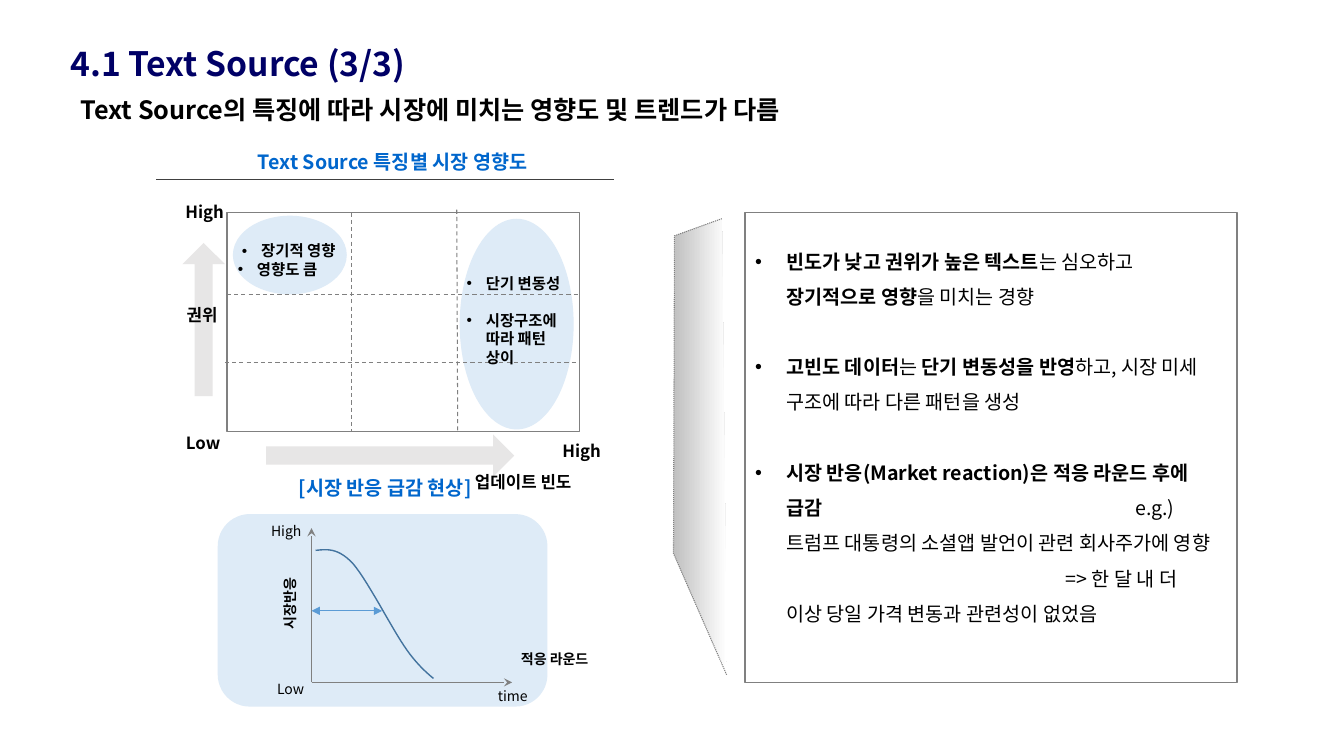
from dataclasses import dataclass, field
from typing import NamedTuple

from lxml.etree import SubElement
from pptx import Presentation
from pptx.dml.color import RGBColor
from pptx.enum.dml import MSO_LINE_DASH_STYLE as Dash
from pptx.enum.shapes import MSO_CONNECTOR, MSO_SHAPE as Preset
from pptx.enum.text import MSO_ANCHOR as Anchor, PP_ALIGN as Align
from pptx.oxml.ns import qn
from pptx.util import Emu, Pt

PX = 9144  # EMU in one px, 100 px to the inch


@dataclass(frozen=True)
class Theme:
    font: str = "Noto Sans CJK KR"
    navy: str = "000066"
    blue: str = "0066CC"
    black: str = "000000"
    gray: str = "808080"
    rule: str = "404040"
    pale: str = "DEEBF7"
    arrow: str = "E7E6E6"
    curve: str = "43739E"
    span: str = "5B9BD5"
    shade: tuple[str, str] = ("C0C0C0", "FFFFFF")
    title: int = 24
    lead: int = 18
    body: int = 14
    axis: int = 12
    note: int = 11
    small: int = 10


THEME = Theme()


class Box(NamedTuple):
    left: int
    top: int
    width: int
    height: int


class Point(NamedTuple):
    x: int
    y: int


@dataclass(frozen=True)
class Para:
    """Pieces alternate bold and regular, starting with bold; \\v breaks a line."""
    pieces: tuple[str, ...]
    bullet: bool = True
    align: Align = Align.LEFT
    before: int = 0


@dataclass(frozen=True)
class Format:
    size: int
    color: str = THEME.black
    bold: bool = True
    wrap: bool = True
    anchor: Anchor = Anchor.TOP
    rotation: int = 0
    inset: bool = True
    spacing: float = 1.0
    hang: int = 19
    tabs: tuple[int, ...] = field(default=())


def emu(px: float) -> Emu:
    return Emu(round(px * PX))


def rgb(color: str) -> RGBColor:
    return RGBColor.from_string(color)


def style_line(line, color: str, width: float, dash=None) -> None:
    line.color.rgb = rgb(color)
    line.width = Pt(width)
    if dash:
        line.dash_style = dash


def add_bullet(para, hang: int, tabs: tuple[int, ...]) -> None:
    props = para._p.get_or_add_pPr()
    props.set("marL", str(emu(hang)))
    props.set("indent", str(emu(-hang)))
    SubElement(props, qn("a:buFont"), typeface="Arial")
    SubElement(props, qn("a:buChar"), char="•")
    if tabs:
        stops = SubElement(props, qn("a:tabLst"))
        for stop in tabs:
            SubElement(stops, qn("a:tab"), pos=str(emu(stop)), algn="l")


def add_span(para, text: str, bold: bool, style: Format) -> None:
    span = para.add_run()
    span.text = text
    font = span.font
    font.name, font.size, font.bold = THEME.font, Pt(style.size), bold
    font.color.rgb = rgb(style.color)
    SubElement(span._r.get_or_add_rPr(), qn("a:ea"), typeface=THEME.font)


def add_text(page, place: Box, paras: list[Para], **options) -> None:
    style = Format(**options)
    box = page.shapes.add_textbox(*map(emu, place))
    box.rotation = style.rotation
    frame = box.text_frame
    frame.word_wrap, frame.vertical_anchor = style.wrap, style.anchor
    if not style.inset:
        frame.margin_left = frame.margin_right = frame.margin_top = frame.margin_bottom = 0
    for index, item in enumerate(paras):
        para = frame.add_paragraph() if index else frame.paragraphs[0]
        if item.bullet:
            add_bullet(para, style.hang, style.tabs)
        para.alignment, para.line_spacing = item.align, style.spacing
        if item.before:
            para.space_before = Pt(item.before)
        for order, piece in enumerate(item.pieces):
            for row, text in enumerate(piece.split("\v")):
                if row:
                    para.add_line_break()
                add_span(para, text, style.bold and order % 2 == 0, style)


def add_label(page, place: Box, text: str, align: Align = Align.CENTER, **options) -> None:
    add_text(page, place, [Para((text,), bullet=False, align=align)], **options)


def add_shape(page, preset: Preset, place: Box, fill: str = "", line: str = ""):
    shape = page.shapes.add_shape(preset, *map(emu, place))
    shape.shadow.inherit = False
    if fill:
        shape.fill.solid()
        shape.fill.fore_color.rgb = rgb(fill)
    else:
        shape.fill.background()
    if line:
        style_line(shape.line, line, 1)
    else:
        shape.line.fill.background()
    return shape


def add_arrow(page, place: Box, rotation: int = 0) -> None:
    arrow = add_shape(page, Preset.UP_ARROW, place, fill=THEME.arrow)
    arrow.adjustments[0], arrow.adjustments[1] = 0.43, 0.5
    arrow.rotation = rotation


def add_line(page, start: Point, end: Point, color: str = THEME.gray, width: float = 0.5,
             dash=None, head: str = "", tail: str = "") -> None:
    line = page.shapes.add_connector(MSO_CONNECTOR.STRAIGHT, *map(emu, (*start, *end)))
    style_line(line.line, color, width, dash)
    outline = line.line._get_or_add_ln()
    for tag, kind in (("a:headEnd", head), ("a:tailEnd", tail)):
        if kind:
            SubElement(outline, qn(tag), type=kind)
    SubElement(line._element.spPr, qn("a:effectLst"))


def add_outline(page, points: list[tuple[float, float]]):
    corners = [(emu(x), emu(y)) for x, y in points]
    builder = page.shapes.build_freeform(*corners[0])
    builder.add_line_segments(corners[1:], close=False)
    shape = builder.convert_to_shape()
    shape.shadow.inherit = False
    return shape


def bezier(knots: list[Point], steps: int = 14) -> list[tuple[float, float]]:
    """Points along joined cubic curves, each sharing its end with the next start."""
    points: list[tuple[float, float]] = [knots[0]]
    for first in range(0, len(knots) - 1, 3):
        for step in range(1, steps + 1):
            t = step / steps
            weights = ((1 - t) ** 3, 3 * t * (1 - t) ** 2, 3 * t * t * (1 - t), t ** 3)
            pairs = list(zip(weights, knots[first:first + 4]))
            points.append((sum(w * p.x for w, p in pairs), sum(w * p.y for w, p in pairs)))
    return points


def draw_findings(page) -> None:
    add_text(page, Box(739, 231, 488, 434), [
        Para(("빈도가 낮고 권위가 높은 텍스트", "는 심오하고 ", "장기적으로 영향", "을 미치는 경향")),
        Para(("고빈도 데이터", "는 ", "단기 변동성을 반영",
              "하고, 시장 미세 구조에 따라 다른 패턴을 생성"), before=25),
        Para(("시장 반응(Market reaction)은 적응 라운드 후에 급감",
              "\t\te.g.)\v트럼프 대통령의 소셜앱 발언이 관련 회사주가에 영향"
              "\v\t=> 한 달 내 더\v이상 당일 가격 변동과 관련성이 없었음"), before=25),
    ], size=THEME.body, spacing=1.5, hang=31, tabs=(308, 377))
    wedge = add_outline(page, [(716, 217), (669, 234), (668, 549), (721, 670)])
    wedge.fill.gradient()
    wedge.fill.gradient_angle = 0
    for stop, color, position in zip(wedge.fill.gradient_stops, THEME.shade, (0, 1)):
        stop.color.rgb, stop.position = rgb(color), position
    style_line(wedge.line, THEME.gray, 0.75, Dash.ROUND_DOT)
    add_shape(page, Preset.RECTANGLE, Box(739, 211, 488, 466), line=THEME.gray)


def draw_matrix(page) -> None:
    add_label(page, Box(173, 144, 433, 34), "Text Source 특징별 시장 영향도",
              size=THEME.body, color=THEME.blue)
    add_line(page, Point(155, 178), Point(609, 178), THEME.rule)
    add_shape(page, Preset.RECTANGLE, Box(225, 211, 350, 217), line=THEME.gray)
    for place in (Box(231, 214, 113, 78), Box(456, 217, 113, 209)):
        add_shape(page, Preset.OVAL, place, fill=THEME.pale)
    for start, end in ((Point(349, 211), Point(349, 428)), (Point(453, 208), Point(454, 429)),
                       (Point(225, 292), Point(574, 292)), (Point(223, 360), Point(573, 360))):
        add_line(page, start, end, width=0.75, dash=Dash.DASH)
    add_text(page, Box(226, 241, 121, 34),
             [Para(("장기적 영향",), align=Align.CENTER), Para(("영향도 큼",))],
             size=THEME.note, anchor=Anchor.MIDDLE)
    add_text(page, Box(453, 288, 122, 59),
             [Para(("단기 변동성",)), Para(("시장구조에 따라 패턴 상이",), before=13)],
             size=THEME.note, anchor=Anchor.MIDDLE)
    add_arrow(page, Box(181, 241, 42, 152))
    add_arrow(page, Box(366, 329, 42, 246), rotation=90)
    for place, text in ((Box(173, 424, 57, 30), "Low"), (Box(548, 432, 58, 30), "High"),
                        (Box(174, 195, 58, 30), "High"), (Box(174, 297, 53, 30), "권위"),
                        (Box(452, 463, 134, 30), "업데이트 빈도")):
        add_label(page, place, text, size=THEME.axis, wrap=False)


def draw_decay(page) -> None:
    add_label(page, Box(155, 467, 454, 34), "[시장 반응 급감 현상]",
              size=THEME.body, color=THEME.blue)
    add_shape(page, Preset.ROUNDED_RECTANGLE, Box(216, 510, 327, 191), fill=THEME.pale)
    origin = Point(309, 677)
    for end in (Point(309, 524), Point(508, 677)):
        add_line(page, origin, end, tail="stealth")
    for place, text in ((Box(259, 513, 61, 48), "High"), (Box(265, 670, 58, 48), "Low"),
                        (Box(484, 677, 57, 48), "time")):
        add_label(page, place, text, Align.LEFT, size=THEME.small, bold=False, wrap=False)
    add_label(page, Box(224, 585, 128, 27), "시장반응", size=THEME.small, rotation=270)
    add_label(page, Box(449, 640, 202, 27), "적응 라운드", size=THEME.small)
    knots = [(313, 546), (324, 545), (335, 543), (350, 559), (364, 575),
             (388, 622), (401, 641), (414, 661), (430, 673), (430, 673)]
    curve = add_outline(page, bezier([Point(*knot) for knot in knots]))
    curve.fill.background()
    style_line(curve.line, THEME.curve, 1)
    add_line(page, Point(309, 606), Point(379, 606), THEME.span, head="triangle", tail="triangle")


def main() -> None:
    deck = Presentation()
    deck.slide_width, deck.slide_height = emu(1333), emu(750)
    page = deck.slides.add_slide(deck.slide_layouts[6])
    add_label(page, Box(70, 43, 1016, 31), "4.1 Text Source (3/3)", Align.LEFT,
              size=THEME.title, color=THEME.navy, inset=False)
    add_label(page, Box(70, 89, 1187, 40), "Text Source의 특징에 따라 시장에 미치는 영향도 및 트렌드가 다름",
              Align.LEFT, size=THEME.lead)
    draw_findings(page)
    draw_matrix(page)
    draw_decay(page)
    deck.save("out.pptx")


if __name__ == "__main__":
    main()
